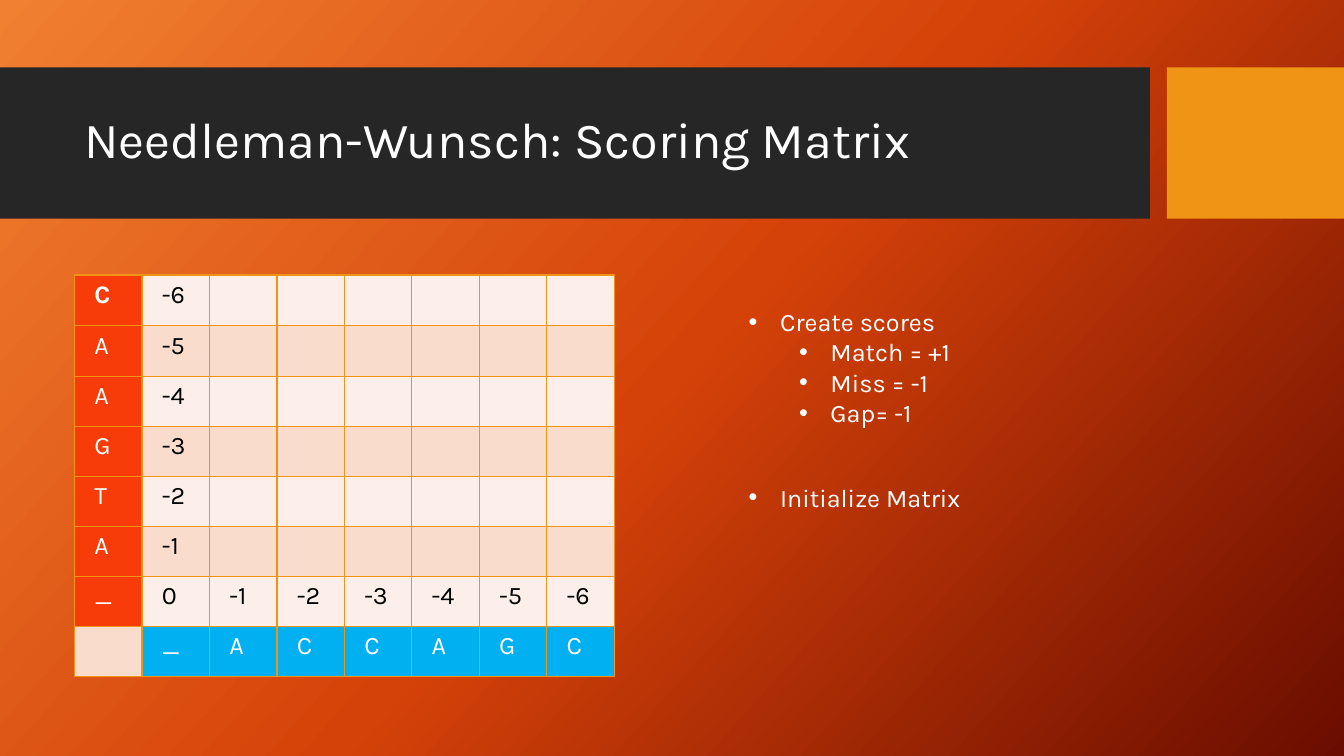
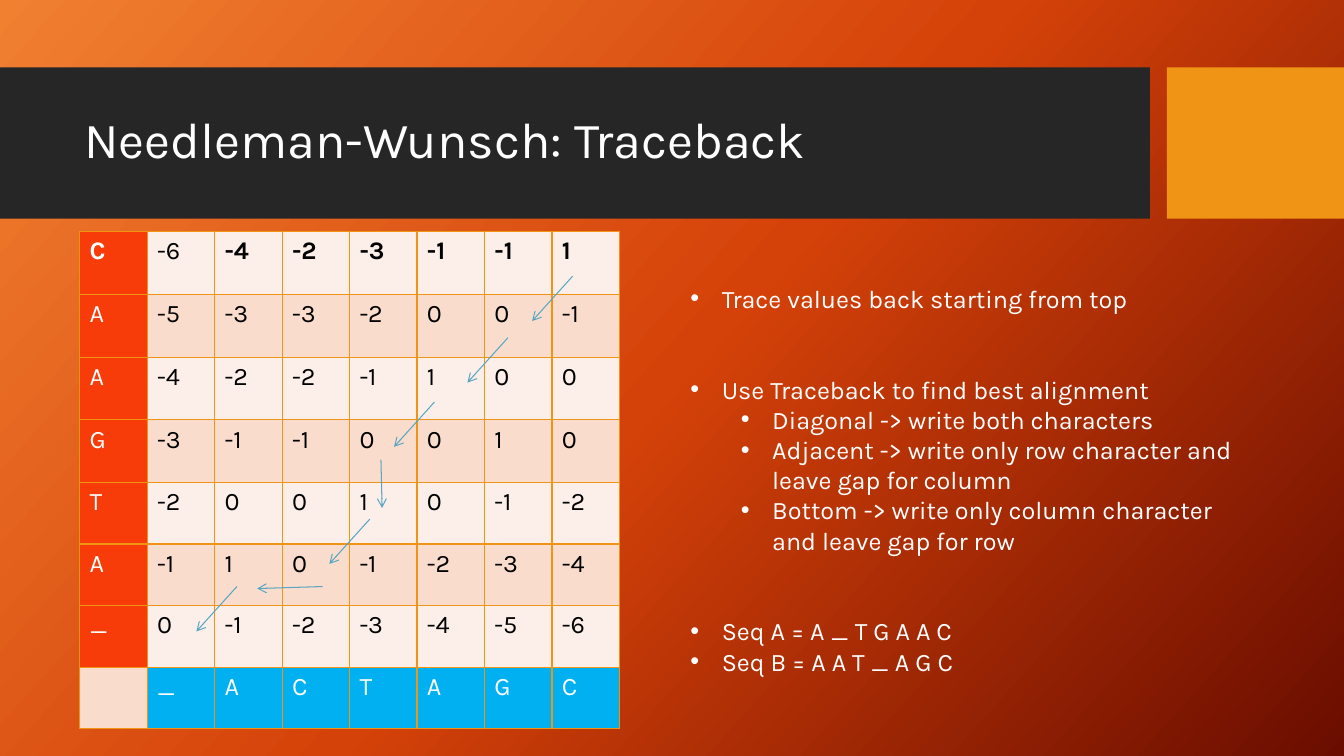
from lxml import etree
from copy import deepcopy

from pptx import Presentation
from pptx.dml.color import RGBColor
from pptx.enum.shapes import MSO_CONNECTOR, MSO_SHAPE
from pptx.enum.text import MSO_ANCHOR
from pptx.oxml.ns import qn
from pptx.util import Cm, Pt

RECTANGLE = MSO_SHAPE.RECTANGLE
STRAIGHT = MSO_CONNECTOR.STRAIGHT
MIDDLE = MSO_ANCHOR.MIDDLE

FONT = "Karla"
BODY_SIZE = 18
COLORS = {
    "band": "262626",
    "accent": "F09415",
    "white": "FFFFFF",
    "black": "000000",
    "row_label": "F73C09",
    "column_label": "00B0F0",
    "light_row": "FCEEE8",
    "dark_row": "F9DCCC",
    "arrow": "5AA6C0",
}
BACKGROUND = [(0, "F18031"), (0.5, "D54209"), (1, "6A0D00")]

# Score matrices
COLUMN_WIDTH = 1.7
ROW_LABELS = "CAAGTA_"
GAP_SCORES = [str(-gap) for gap in range(len(ROW_LABELS))]
TRACEBACK_SCORES = [
    "-6 -4 -2 -3 -1 -1 1",
    "-5 -3 -3 -2 0 0 -1",
    "-4 -2 -2 -1 1 0 0",
    "-3 -1 -1 0 0 1 0",
    "-2 0 0 1 0 -1 -2",
    "-1 1 0 -1 -2 -3 -4",
    "0 -1 -2 -3 -4 -5 -6",
]

# Traceback steps: start point and move
DIAGONAL, ADJACENT, BOTTOM = (-1.02, 1.13), (-1.65, 0.05), (0.03, 1.22)
TRACEBACK_STEPS = [
    ((14.43, 6.96), DIAGONAL),
    ((12.8, 8.51), DIAGONAL),
    ((10.95, 10.13), DIAGONAL),
    ((9.6, 11.58), BOTTOM),
    ((9.32, 13.08), DIAGONAL),
    ((8.13, 14.78), ADJACENT),
    ((5.97, 14.78), DIAGONAL),
]

# Bullets: level, text, space before in points
SECTION_GAP = 43.2
SCORE_RULES = [
    (0, "Create scores", 0),
    (1, "Match = +1", 0),
    (1, "Miss = -1", 0),
    (1, "Gap= -1", 0),
]
TRACEBACK_RULES = [
    (0, "Trace values back starting from top", 0),
    (0, "Use Traceback to find best alignment", SECTION_GAP),
    (1, "Diagonal -> write both characters", 0),
    (1, "Adjacent -> write only row character and leave gap for column", 0),
    (1, "Bottom -> write only column character and leave gap for row", 0),
    (0, "Seq A = A _ T G A A C", SECTION_GAP),
    (0, "Seq B = A A T _ A G C", 0),
]


def rgb(name):
    return RGBColor.from_string(COLORS[name])


def add_run(paragraph, text, color="white", size=BODY_SIZE, bold=False):
    run = paragraph.add_run()
    run.text = text
    run.font.name = FONT
    run.font.size = Pt(size)
    run.font.bold = bold
    run.font.color.rgb = rgb(color)


def set_background(master):
    fill = master.background.fill
    fill.gradient()
    fill.gradient_angle = 318
    stop_list = master.element.find(".//" + qn("a:gsLst"))
    stop_list.insert(1, deepcopy(stop_list[0]))
    for stop, (position, color) in zip(fill.gradient_stops, BACKGROUND):
        stop.position = position
        stop.color.rgb = RGBColor.from_string(color)


def add_band(slide, left, width, color):
    band = slide.shapes.add_shape(RECTANGLE, Cm(left), Cm(1.7), Cm(width), Cm(3.81))
    band.shadow.inherit = False
    band.fill.solid()
    band.fill.fore_color.rgb = rgb(color)
    band.line.fill.background()


def add_text_frame(slide, left, top, width, height):
    box = slide.shapes.add_textbox(Cm(left), Cm(top), Cm(width), Cm(height))
    box.text_frame.word_wrap = True
    return box.text_frame


def add_titled_slide(prs, title):
    slide = prs.slides.add_slide(prs.slide_layouts[6])
    add_band(slide, 0, 28.98, "band")
    add_band(slide, 29.41, 4.46, "accent")
    frame = add_text_frame(slide, 1.88, 2.08, 26.7, 3)
    frame.vertical_anchor = MIDDLE
    frame.paragraphs[0].line_spacing = 0.9
    add_run(frame.paragraphs[0], title, size=36)
    return slide


def add_bullets(slide, left, top, width, height, bullets):
    frame = add_text_frame(slide, left, top, width, height)
    for index, (level, text, space_before) in enumerate(bullets):
        paragraph = frame.paragraphs[0] if index == 0 else frame.add_paragraph()
        paragraph.level = level
        paragraph.space_before = Pt(space_before)
        properties = paragraph._p.get_or_add_pPr()
        properties.set("marL", str(Cm(0.79 + 1.27 * level)))
        properties.set("indent", str(-Cm(0.79)))
        etree.SubElement(properties, qn("a:buFont"), typeface="Arial")
        etree.SubElement(properties, qn("a:buChar"), char="•")
        add_run(paragraph, text)


def set_borders(cell):
    properties = cell._tc.get_or_add_tcPr()
    for index, side in enumerate(("lnL", "lnR", "lnT", "lnB")):
        line = etree.Element(qn("a:" + side), w=str(Pt(1)))
        fill = etree.SubElement(line, qn("a:solidFill"))
        etree.SubElement(fill, qn("a:srgbClr"), val=COLORS["accent"])
        properties.insert(index, line)


def cell_colors(row, column):
    """Return the fill and text colours of a matrix cell."""
    is_label_row = row == len(ROW_LABELS)
    if column == 0 and not is_label_row:
        return "row_label", "white"
    if is_label_row and column > 0:
        return "column_label", "white"
    return ("dark_row" if row % 2 else "light_row"), "black"


def add_matrix(slide, left, top, row_heights, scores, column_labels, margin):
    rows = [[label, *values] for label, values in zip(ROW_LABELS, scores)]
    rows.append(["", *column_labels])
    column_count = len(rows[-1])
    table = slide.shapes.add_table(
        len(rows), column_count, Cm(left), Cm(top),
        Cm(COLUMN_WIDTH * column_count), Cm(sum(row_heights)),
    ).table
    table.first_row = table.horz_banding = False
    for column in table.columns:
        column.width = Cm(COLUMN_WIDTH)
    for row, height in zip(table.rows, row_heights):
        row.height = Cm(height)
    for r, values in enumerate(rows):
        for c in range(column_count):
            cell = table.cell(r, c)
            fill_color, text_color = cell_colors(r, c)
            cell.fill.solid()
            cell.fill.fore_color.rgb = rgb(fill_color)
            set_borders(cell)
            cell.margin_left = cell.margin_right = Cm(margin)
            if c < len(values) and values[c]:
                add_run(cell.text_frame.paragraphs[0], values[c], text_color,
                        bold=r == 0 and c != 1)


def add_arrow(slide, start, move):
    (x, y), (dx, dy) = start, move
    arrow = slide.shapes.add_connector(STRAIGHT, Cm(x), Cm(y), Cm(x + dx), Cm(y + dy))
    arrow.line.color.rgb = rgb("arrow")
    arrow.line.width = Pt(0.75)
    etree.SubElement(arrow.line._get_or_add_ln(), qn("a:tailEnd"), type="arrow")
    etree.SubElement(arrow._element.spPr, qn("a:effectLst"))


def add_scoring_slide(prs):
    slide = add_titled_slide(prs, "Needleman-Wunsch: Scoring Matrix")
    scores = [[score] for score in reversed(GAP_SCORES)]
    scores[-1] = GAP_SCORES
    add_matrix(slide, 1.88, 6.93, [1.28] * 2 + [1.26] * 6, scores, "_ACCAGC", 0.5)
    add_bullets(slide, 18.62, 7.6, 13.54, 4.88, SCORE_RULES)
    add_bullets(slide, 18.62, 12.02, 13.54, 2.57, [(0, "Initialize Matrix", 0)])


def add_traceback_slide(prs):
    slide = add_titled_slide(prs, "Needleman-Wunsch: Traceback")
    scores = [line.split() for line in TRACEBACK_SCORES]
    add_matrix(slide, 2.01, 5.84, [1.58] * 4 + [1.55] * 4, scores, "_ACTAGC", 0.25)
    for start, move in TRACEBACK_STEPS:
        add_arrow(slide, start, move)
    add_bullets(slide, 17.15, 7.01, 14.3, 10.26, TRACEBACK_RULES)


def main():
    prs = Presentation()
    prs.slide_width, prs.slide_height = Cm(33.87), Cm(19.05)
    set_background(prs.slide_master)
    add_scoring_slide(prs)
    add_traceback_slide(prs)
    prs.save("out.pptx")


if __name__ == "__main__":
    main()
